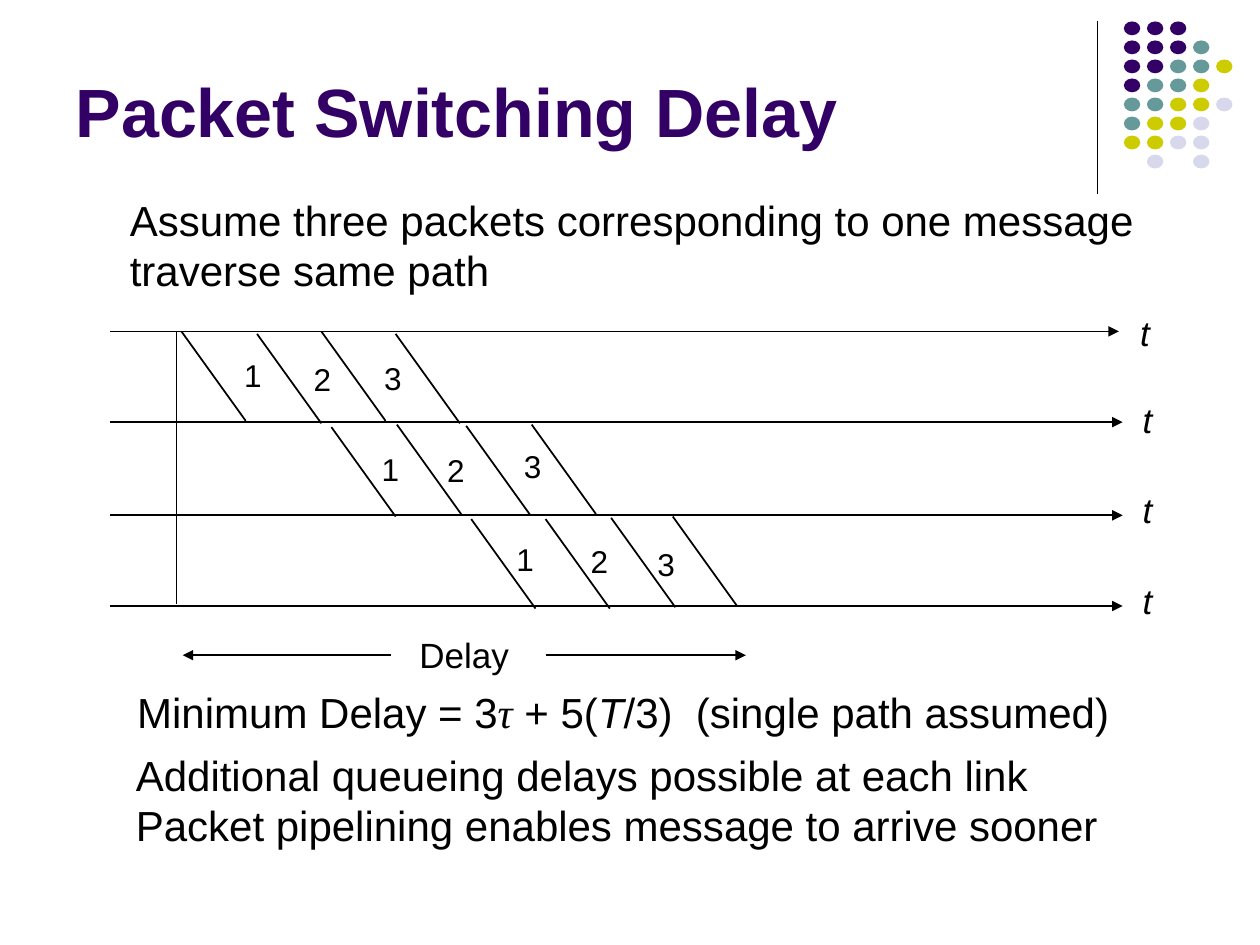
from dataclasses import dataclass

from lxml.etree import SubElement
from pptx import Presentation
from pptx.dml.color import RGBColor
from pptx.enum.shapes import MSO_CONNECTOR, MSO_SHAPE
from pptx.enum.text import MSO_ANCHOR, MSO_AUTO_SIZE, PP_ALIGN
from pptx.oxml.ns import qn
from pptx.util import Inches, Pt

BLACK, PURPLE, TEAL, OLIVE, PALE = "000000", "330066", "669999", "CCCC00", "D8D8EC"
DOT_COLORS = {"P": PURPLE, "T": TEAL, "O": OLIVE, "L": PALE}
DOT_ROWS = ["PPP", "PPPT", "PPTTO", "PTTO", "TTOOL", "TOOL", "OOLL", " L L"]
EDGE_WIDTH, EDGE_HEIGHT = 0.51, 0.71


@dataclass
class TimeAxis:
    y: float
    end: float
    label_left: float
    label_top: float


@dataclass
class Hop:
    """Slanted packet edges (x, y) and packet numbers (left, top) on one link."""
    edges: list[tuple[float, float]]
    numbers: list[tuple[float, float]]


@dataclass
class Run:
    text: str
    italic: bool = False
    font: str = "Arial"


AXES = [
    TimeAxis(2.63, 8.88, 8.95, 2.42),
    TimeAxis(3.35, 8.91, 8.97, 3.11),
    TimeAxis(4.09, 8.91, 8.97, 3.83),
    TimeAxis(4.81, 8.91, 8.97, 4.55),
]
HOPS = [
    Hop([(1.44, 2.63), (2.04, 2.65), (2.55, 2.63), (3.14, 2.65)],
        [(1.84, 2.78), (2.39, 2.81), (2.95, 2.8)]),
    Hop([(2.63, 3.39), (3.15, 3.37), (3.7, 3.38), (4.22, 3.37)],
        [(2.93, 3.52), (3.45, 3.53), (4.06, 3.5)]),
    Hop([(3.74, 4.12), (4.33, 4.12), (4.85, 4.11), (5.34, 4.1)],
        [(4.0, 4.24), (4.59, 4.25), (5.12, 4.28)]),
]


def rgb(value: str) -> RGBColor:
    return RGBColor.from_string(value)


def apply_format(target, values: dict) -> None:
    for attribute, value in values.items():
        setattr(target, attribute, value)


def place(shape, left: float, top: float, width: float, height: float) -> None:
    apply_format(shape, {"left": Inches(left), "top": Inches(top),
                         "width": Inches(width), "height": Inches(height)})


def add_run(paragraph, run: Run, size: float, color: str = BLACK, bold: bool = False) -> None:
    text_run = paragraph.add_run()
    text_run.text = run.text
    apply_format(text_run.font, {"name": run.font, "size": Pt(size),
                                 "bold": bold, "italic": run.italic})
    text_run.font.color.rgb = rgb(color)


def add_label(slide, box: tuple, paragraphs: list[list[Run]], size: float) -> None:
    frame = slide.shapes.add_textbox(*map(Inches, box)).text_frame
    apply_format(frame, {"word_wrap": False, "auto_size": MSO_AUTO_SIZE.SHAPE_TO_FIT_TEXT})
    for index, runs in enumerate(paragraphs):
        paragraph = frame.add_paragraph() if index else frame.paragraphs[0]
        for run in runs:
            add_run(paragraph, run, size)


def add_line(slide, start: tuple, end: tuple, width: float = 1, arrow: bool = False) -> None:
    line = slide.shapes.add_connector(MSO_CONNECTOR.STRAIGHT, *map(Inches, (*start, *end)))
    line.line.color.rgb = rgb(BLACK)
    line.line.width = Pt(width)
    properties = line._element.spPr
    if arrow:
        SubElement(properties.find(qn("a:ln")), qn("a:tailEnd"), type="triangle")
    SubElement(properties, qn("a:effectLst"))


def add_dot(slide, column: int, row: int, color: str) -> None:
    left, top = 8.92 + 0.183 * column, 0.17 + 0.151 * row
    dot = slide.shapes.add_shape(MSO_SHAPE.OVAL, *map(Inches, (left, top, 0.13, 0.11)))
    dot.shadow.inherit = False
    dot.fill.solid()
    dot.fill.fore_color.rgb = rgb(color)
    dot.line.fill.background()


def add_decoration(slide) -> None:
    add_line(slide, (8.71, 0.17), (8.71, 1.54), width=0.75)
    for row, marks in enumerate(DOT_ROWS):
        for column, mark in enumerate(marks):
            if mark in DOT_COLORS:
                add_dot(slide, column, row, DOT_COLORS[mark])


def add_timing_diagram(slide) -> None:
    # Time axes and the start of the message
    for axis in AXES:
        add_line(slide, (0.87, axis.y), (axis.end, axis.y), arrow=True)
        add_label(slide, (axis.label_left, axis.label_top, 0.27, 0.43),
                  [[Run("t", italic=True)]], 20)
    add_line(slide, (1.4, 2.63), (1.4, 4.79))

    # Packets on each link
    for hop in HOPS:
        for x, y in hop.edges:
            add_line(slide, (x, y), (x + EDGE_WIDTH, y + EDGE_HEIGHT))
        for number, (left, top) in enumerate(hop.numbers, start=1):
            add_label(slide, (left, top, 0.34, 0.4), [[Run(str(number))]], 18)

    # Total delay
    add_line(slide, (3.1, 5.2), (1.45, 5.2), arrow=True)
    add_line(slide, (4.33, 5.2), (5.92, 5.2), arrow=True)
    add_label(slide, (3.23, 4.98, 0.91, 0.43), [[Run("Delay")]], 20)


def fill_placeholders(slide) -> None:
    title, assumption = slide.shapes.title, slide.placeholders[1]
    place(title, 0.5, 0.13, 8.25, 1.12)
    place(assumption, 0.93, 1.49, 8.37, 0.9)
    for placeholder, anchor in ((title, MSO_ANCHOR.BOTTOM), (assumption, MSO_ANCHOR.TOP)):
        apply_format(placeholder.text_frame, {"vertical_anchor": anchor, "word_wrap": True,
                                              "auto_size": MSO_AUTO_SIZE.NONE})
        apply_format(placeholder.text_frame.paragraphs[0],
                     {"alignment": PP_ALIGN.LEFT, "space_before": Pt(0)})

    add_run(title.text_frame.paragraphs[0], Run("Packet Switching Delay"), 39, PURPLE, bold=True)
    paragraph = assumption.text_frame.paragraphs[0]
    properties = paragraph._p.get_or_add_pPr()
    properties.set("marL", "0")
    properties.set("indent", "0")
    SubElement(properties, qn("a:buNone"))
    add_run(paragraph, Run("Assume three packets corresponding to one message "
                           "traverse same path"), 24)


def main() -> None:
    presentation = Presentation()
    presentation.slide_width, presentation.slide_height = Inches(10), Inches(7.5)
    slide = presentation.slides.add_slide(presentation.slide_layouts[1])

    fill_placeholders(slide)
    add_decoration(slide)
    add_timing_diagram(slide)

    # Conclusions
    add_label(slide, (0.99, 5.4, 7.92, 0.5),
              [[Run("Minimum Delay = 3"), Run("τ", True, "Times New Roman"), Run(" + 5("),
                Run("T", True), Run("/3)  (single path assumed)")]], 24)
    add_label(slide, (0.98, 5.9, 7.84, 0.9),
              [[Run("Additional queueing delays possible at each link")],
               [Run("Packet pipelining enables message to arrive sooner")]], 24)

    presentation.save("out.pptx")


if __name__ == "__main__":
    main()
